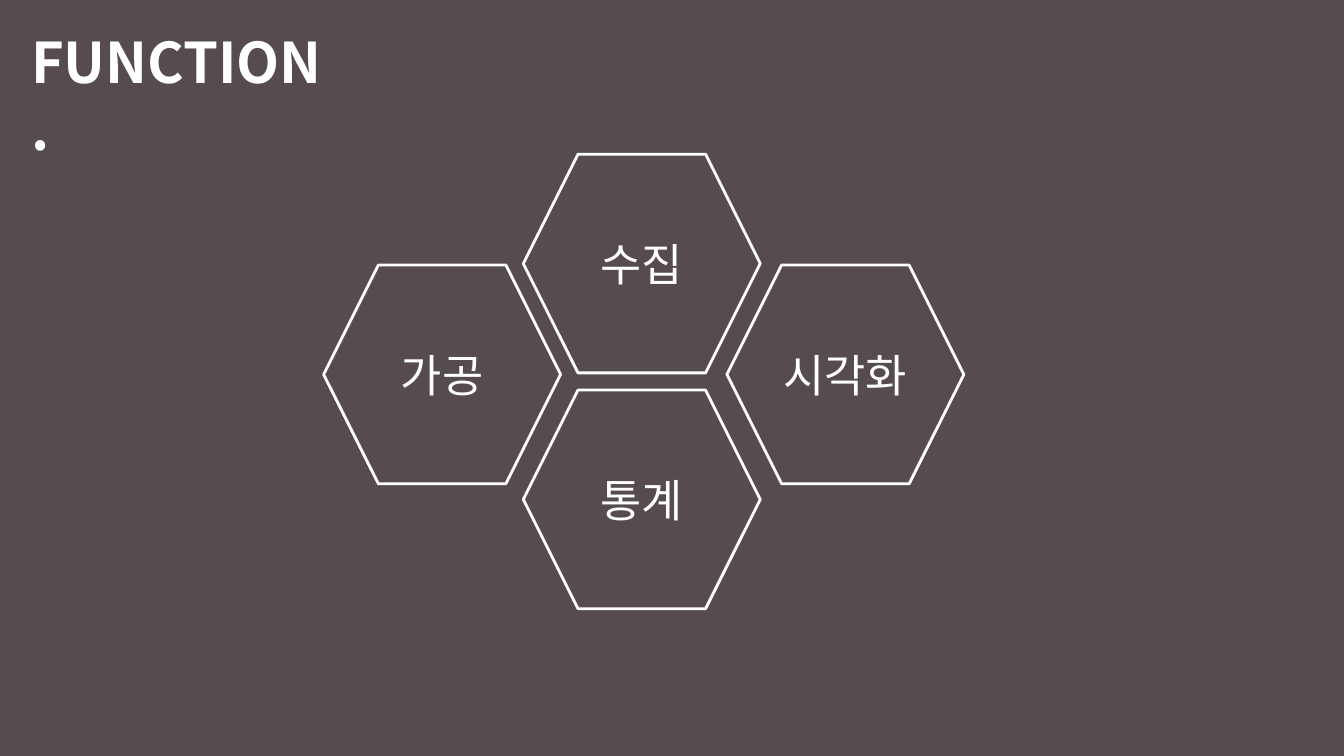
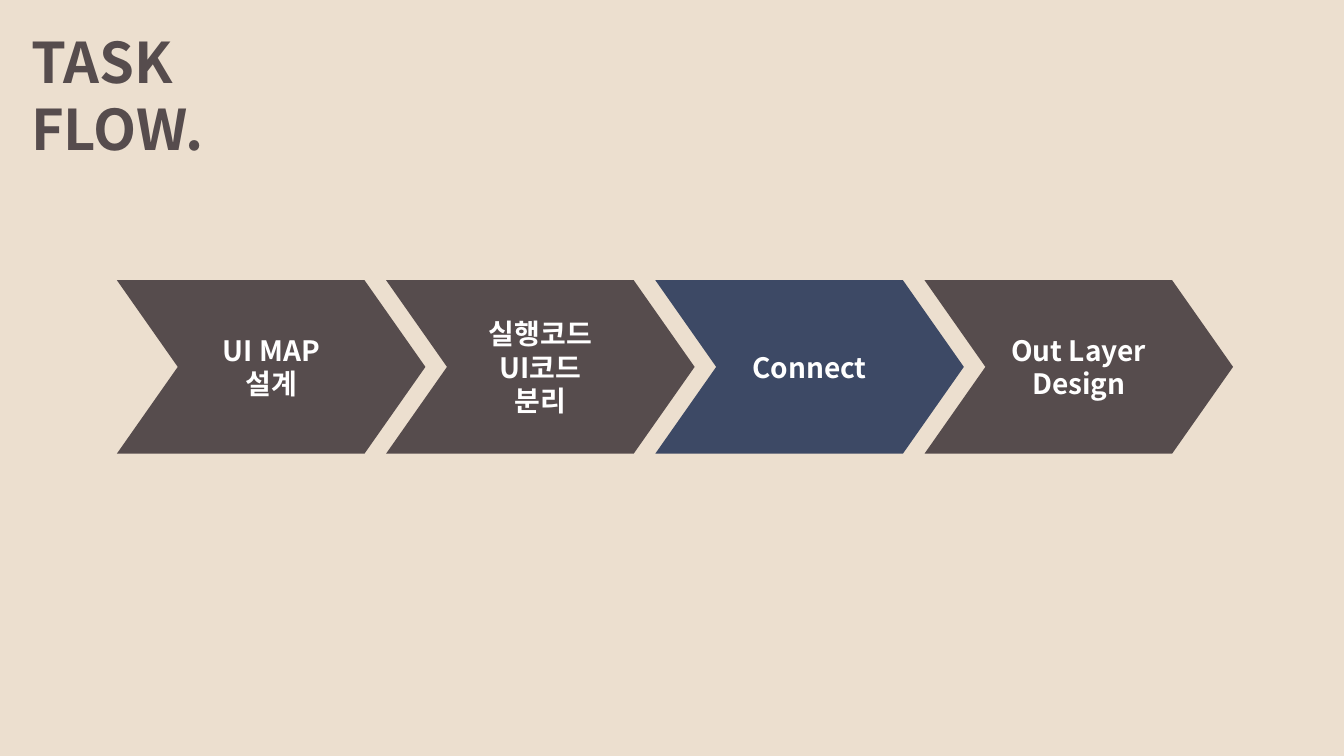
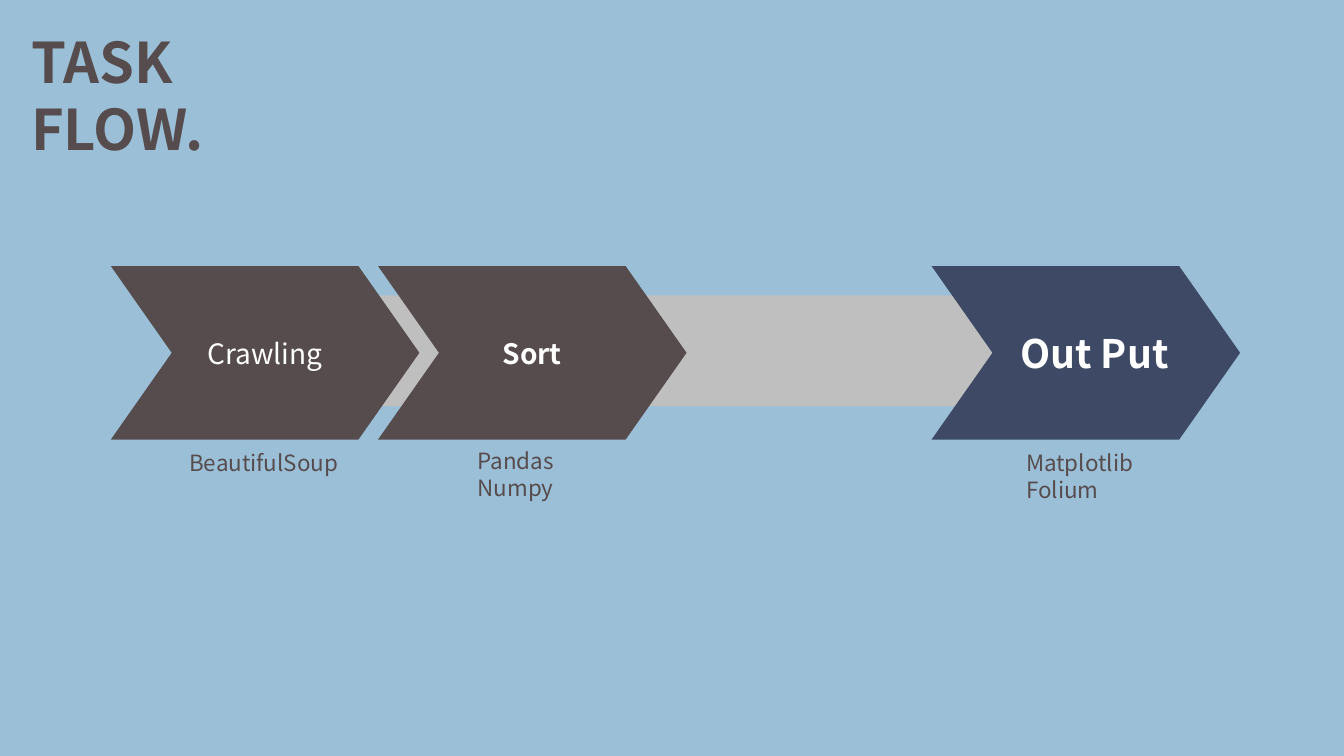
from lxml import etree
from pptx import Presentation
from pptx.dml.color import RGBColor
from pptx.enum.shapes import MSO_SHAPE
from pptx.enum.text import MSO_ANCHOR, PP_ALIGN
from pptx.oxml.ns import qn
from pptx.util import Inches, Pt

HEXAGON = MSO_SHAPE.HEXAGON
CHEVRON = MSO_SHAPE.CHEVRON
RECTANGLE = MSO_SHAPE.RECTANGLE
MIDDLE = MSO_ANCHOR.MIDDLE
CENTER = PP_ALIGN.CENTER
LEFT = PP_ALIGN.LEFT

WHITE = RGBColor(0xFF, 0xFF, 0xFF)
BROWN = RGBColor(0x56, 0x4C, 0x4D)
NAVY = RGBColor(0x3D, 0x49, 0x65)
GRAY = RGBColor(0xBF, 0xBF, 0xBF)
CREAM = RGBColor(0xEC, 0xDF, 0xCF)
SKY = RGBColor(0x9B, 0xBF, 0xD7)

FONT = "Noto Sans CJK KR"


class Deck:
    def __init__(self):
        self.presentation = Presentation()
        self.presentation.slide_width = Inches(13.33)
        self.presentation.slide_height = Inches(7.5)
        self.slide = None

    def new_slide(self, background, title, title_color):
        layout = self.presentation.slide_layouts[6]
        self.slide = self.presentation.slides.add_slide(layout)
        fill = self.slide.background.fill
        fill.solid()
        fill.fore_color.rgb = background
        self.label(0.21, 0.22, 3.13, 0.77, [title], 40, title_color, bold=True)

    def fill_text(self, frame, lines, size, color, bold, align):
        frame.word_wrap = True
        for index, line in enumerate(lines):
            paragraph = frame.paragraphs[0] if index == 0 else frame.add_paragraph()
            paragraph.text = line
            paragraph.alignment = align
            font = paragraph.font
            font.size = Pt(size)
            font.bold = bold
            font.color.rgb = color
            font.name = FONT
            defaults = paragraph._p.pPr.find(qn("a:defRPr"))
            etree.SubElement(defaults, qn("a:ea")).set("typeface", FONT)

    def label(self, left, top, width, height, lines, size=16, color=BROWN, bold=False):
        box = self.slide.shapes.add_textbox(
            Inches(left), Inches(top), Inches(width), Inches(height))
        self.fill_text(box.text_frame, lines, size, color, bold, LEFT)

    def shape(self, kind, left, top, width, height, fill=None):
        shape = self.slide.shapes.add_shape(
            kind, Inches(left), Inches(top), Inches(width), Inches(height))
        shape.shadow.inherit = False
        if fill is None:
            shape.fill.background()
            shape.line.color.rgb = WHITE
            shape.line.width = Pt(2)
        else:
            shape.fill.solid()
            shape.fill.fore_color.rgb = fill
            shape.line.fill.background()
        shape.text_frame.vertical_anchor = MIDDLE
        return shape

    def hexagon(self, left, top, text):
        cell = self.shape(HEXAGON, left, top, 2.35, 2.17)
        self.fill_text(cell.text_frame, [text], 32, WHITE, False, CENTER)

    def chevron(self, left, top, lines, fill=BROWN, size=20, bold=True, inset=0.1):
        step = self.shape(CHEVRON, left, top, 3.06, 1.72, fill)
        step.adjustments[0] = 0.351
        step.text_frame.margin_left = Inches(inset)
        self.fill_text(step.text_frame, lines, size, WHITE, bold, CENTER)


def build_functions(deck):
    deck.new_slide(BROWN, "FUNCTION.", WHITE)
    for left, top, name in [
        (5.19, 1.53, "수집"),
        (7.21, 2.63, "시각화"),
        (3.21, 2.63, "가공"),
        (5.19, 3.87, "통계"),
    ]:
        deck.hexagon(left, top, name)


def build_interface_flow(deck):
    deck.new_slide(CREAM, "TASK FLOW.", BROWN)
    steps = [
        (["UI MAP", "설계"], BROWN),
        (["실행코드", "UI코드", "분리"], BROWN),
        (["Connect"], NAVY),
        (["Out Layer", "Design"], BROWN),
    ]
    for index, (lines, fill) in enumerate(steps):
        deck.chevron(1.16 + 2.67 * index, 2.78, lines, fill)


def build_data_flow(deck):
    deck.new_slide(SKY, "TASK FLOW.", BROWN)
    deck.shape(RECTANGLE, 1.78, 2.93, 10.13, 1.1, GRAY)
    deck.chevron(1.1, 2.64, ["Crawling"], bold=False)
    deck.chevron(3.75, 2.64, ["Sort"])
    deck.chevron(9.24, 2.64, ["Out Put"], NAVY, size=28, inset=0.27)
    deck.label(1.78, 4.41, 1.96, 0.37, ["BeautifulSoup"])
    deck.label(4.64, 4.39, 1.96, 0.64, ["Pandas", "Numpy"])
    deck.label(10.08, 4.41, 2.74, 0.64, ["Matplotlib", "Folium"])


def main():
    deck = Deck()
    build_functions(deck)
    build_interface_flow(deck)
    build_data_flow(deck)
    deck.presentation.save("out.pptx")


if __name__ == "__main__":
    main()
